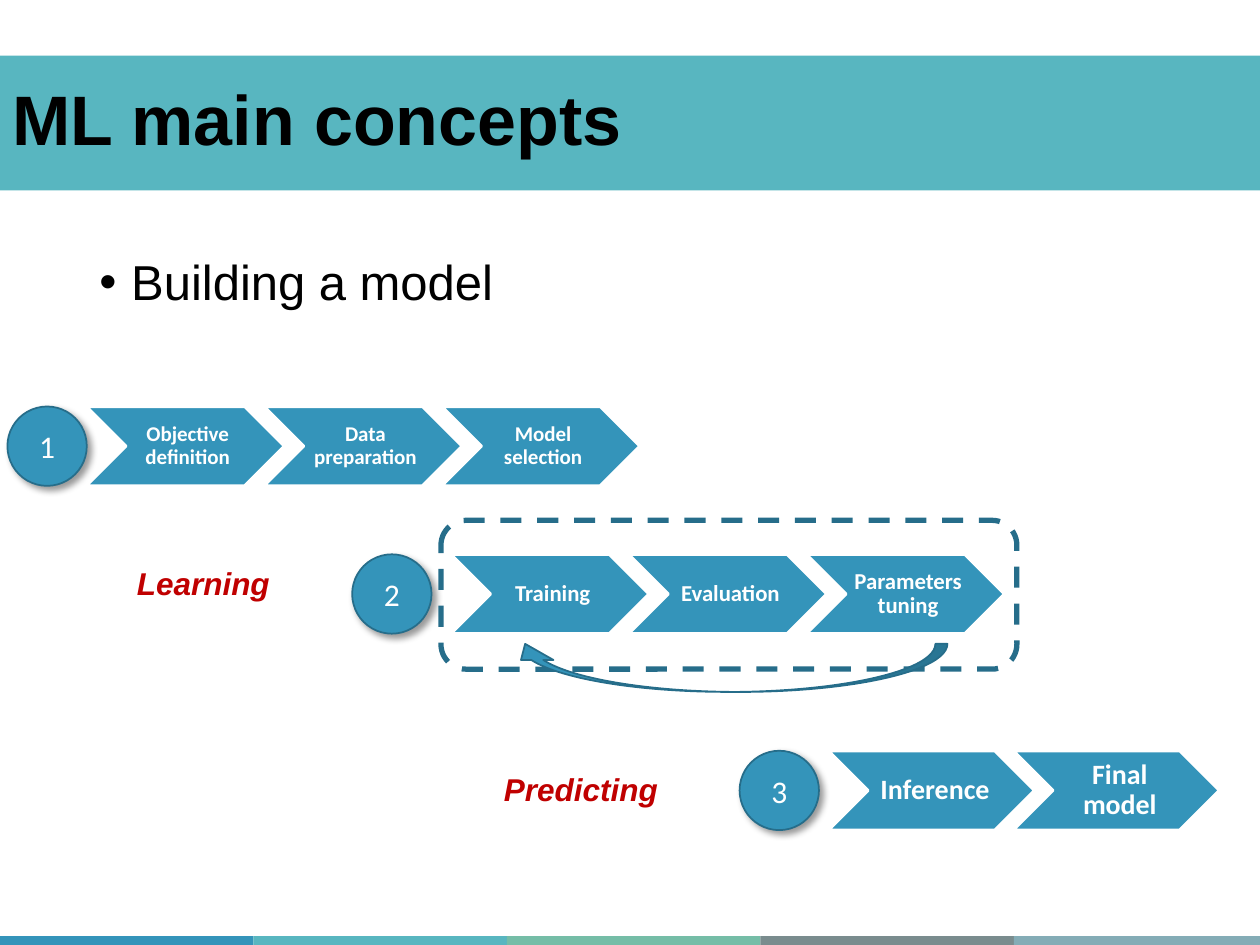
from lxml.etree import SubElement
from pptx import Presentation
from pptx.dml.color import RGBColor
from pptx.enum.dml import MSO_LINE
from pptx.enum.shapes import MSO_SHAPE
from pptx.enum.text import MSO_ANCHOR, MSO_AUTO_SIZE, PP_ALIGN
from pptx.oxml.ns import qn
from pptx.util import Cm, Pt

BLUE = RGBColor(0x34, 0x94, 0xBA)
DARK_BLUE = RGBColor(0x26, 0x6D, 0x8A)
TEAL = RGBColor(0x58, 0xB6, 0xC0)
GREEN = RGBColor(0x75, 0xBD, 0xA7)
GREY = RGBColor(0x7A, 0x8C, 0x8E)
PALE_BLUE = RGBColor(0x84, 0xAC, 0xB6)
RED = RGBColor(0xC0, 0x00, 0x00)
BLACK = RGBColor(0x00, 0x00, 0x00)
WHITE = RGBColor(0xFF, 0xFF, 0xFF)

CIRCLE = 1.6
CHEVRON_STEP = 0.9  # share of a chevron's width from one to the next


def place(shape, left, top, width, height):
    shape.left, shape.top = Cm(left), Cm(top)
    shape.width, shape.height = Cm(width), Cm(height)


def write(frame, text, size, color, font="Arial", bold=False, italic=False,
          align=PP_ALIGN.LEFT, anchor=MSO_ANCHOR.TOP, spacing=None, wrap=True):
    frame.word_wrap = wrap
    frame.vertical_anchor = anchor
    para = frame.paragraphs[0]
    para.alignment = align
    para.space_before = Pt(0)
    if spacing:
        para.line_spacing = spacing
    span = para.add_run()
    span.text = text
    span.font.name, span.font.size = font, Pt(size)
    span.font.bold, span.font.italic = bold, italic
    span.font.color.rgb = color
    return para


def add_figure(page, kind, box, fill=None, line=None, weight=1):
    shape = page.shapes.add_shape(kind, *(Cm(length) for length in box))
    shape.shadow.inherit = False
    if fill is None:
        shape.fill.background()
    else:
        shape.fill.solid()
        shape.fill.fore_color.rgb = fill
    if line is None:
        shape.line.fill.background()
    else:
        shape.line.color.rgb = line
        shape.line.width = Pt(weight)
    return shape


def add_shadow(shape):
    effects = shape._element.spPr.find(qn("a:effectLst"))
    shadow = SubElement(effects, qn("a:outerShdw"), blurRad=str(Pt(4)),
                        dist=str(Pt(3)), dir="2700000", algn="tl", rotWithShape="0")
    color = SubElement(shadow, qn("a:srgbClr"), val=str(BLACK))
    SubElement(color, qn("a:alpha"), val="40000")


def add_footer_strip(page, left, top, width, height):
    colors = (BLUE, TEAL, GREEN, GREY, PALE_BLUE)
    part = width / len(colors)
    for index, color in enumerate(colors):
        add_figure(page, MSO_SHAPE.RECTANGLE, (left + index * part, top, part, height), color)


def fill_title(page, text, *box):
    title = page.shapes.title
    place(title, *box)
    title.fill.solid()
    title.fill.fore_color.rgb = TEAL
    title.text_frame.auto_size = MSO_AUTO_SIZE.NONE
    write(title.text_frame, text, 40, BLACK, bold=True, anchor=MSO_ANCHOR.MIDDLE, spacing=0.9)


def fill_body(page, text, *box):
    body = page.placeholders[1]
    place(body, *box)
    body.text_frame.auto_size = MSO_AUTO_SIZE.NONE
    para = write(body.text_frame, text, 28, BLACK, spacing=0.9)
    props = para._p.get_or_add_pPr()
    props.set("marL", str(Cm(0.64)))
    props.set("indent", str(Cm(-0.64)))
    SubElement(props, qn("a:buFont"), typeface="Arial")
    SubElement(props, qn("a:buChar"), char="•")


def add_step_row(page, number, labels, size, left, top, width, height, gap):
    """Chevrons from left onwards; the numbered circle ends gap before them."""
    for index, label in enumerate(labels):
        box = (left + index * CHEVRON_STEP * width, top, width, height)
        chevron = add_figure(page, MSO_SHAPE.CHEVRON, box, BLUE, WHITE, 1.5)
        frame = chevron.text_frame
        frame.margin_left = Pt(size / 3)
        frame.margin_right = frame.margin_top = frame.margin_bottom = Cm(0.05)
        write(frame, label, size, WHITE, "Calibri", bold=True, align=PP_ALIGN.CENTER,
              anchor=MSO_ANCHOR.MIDDLE, spacing=0.9)
    box = (left - gap - CIRCLE, top + (height - CIRCLE) / 2, CIRCLE, CIRCLE)
    circle = add_figure(page, MSO_SHAPE.OVAL, box, BLUE, DARK_BLUE)
    add_shadow(circle)
    write(circle.text_frame, number, 18, WHITE, "Calibri", align=PP_ALIGN.CENTER,
          anchor=MSO_ANCHOR.MIDDLE)


def add_learning_loop(page, left, top, width, height):
    # Dashed frame
    frame = add_figure(page, MSO_SHAPE.ROUNDED_RECTANGLE, (left, top, width, height),
                       line=DARK_BLUE, weight=3)
    frame.line.dash_style = MSO_LINE.DASH
    # Arrow back from tuning to training
    arrow = add_figure(page, MSO_SHAPE.CURVED_UP_ARROW,
                       (left + 1.37, top + 2.49, 8.84, 0.97), BLUE, DARK_BLUE)
    for index, value in enumerate((0.25, 0.675, 0.336)):
        arrow.adjustments[index] = value
    arrow._element.spPr.xfrm.set("flipH", "1")


def add_phase_label(page, text, *box):
    label = page.shapes.add_textbox(*(Cm(length) for length in box))
    write(label.text_frame, text, 18, RED, bold=True, italic=True, wrap=False)


def main():
    deck = Presentation()
    deck.slide_width, deck.slide_height = Cm(25.4), Cm(19.05)
    page = deck.slides.add_slide(deck.slide_layouts[1])

    add_footer_strip(page, 0, 18.87, 25.55, 0.25)
    fill_title(page, "ML main concepts", 0, 1.12, 25.5, 2.72)
    fill_body(page, "Building a model", 1.75, 5.08, 21.9, 12.09)

    # Three stages
    add_step_row(page, "1", ("Objective definition", "Data preparation", "Model selection"),
                 12, 1.75, 8.2, 3.98, 1.59, 0)
    add_step_row(page, "2", ("Training", "Evaluation", "Parameters tuning"),
                 13, 9.1, 11.18, 3.98, 1.59, 0.4)
    add_step_row(page, "3", ("Inference", "Final model"), 16, 16.71, 15.14, 4.14, 1.59, 0.2)
    add_learning_loop(page, 8.89, 10.49, 11.61, 3)

    # Phase names
    add_phase_label(page, "Learning", 2.51, 11.25, 3.23, 1.02)
    add_phase_label(page, "Predicting", 9.91, 15.39, 3.66, 1.02)

    deck.save("out.pptx")


if __name__ == "__main__":
    main()
